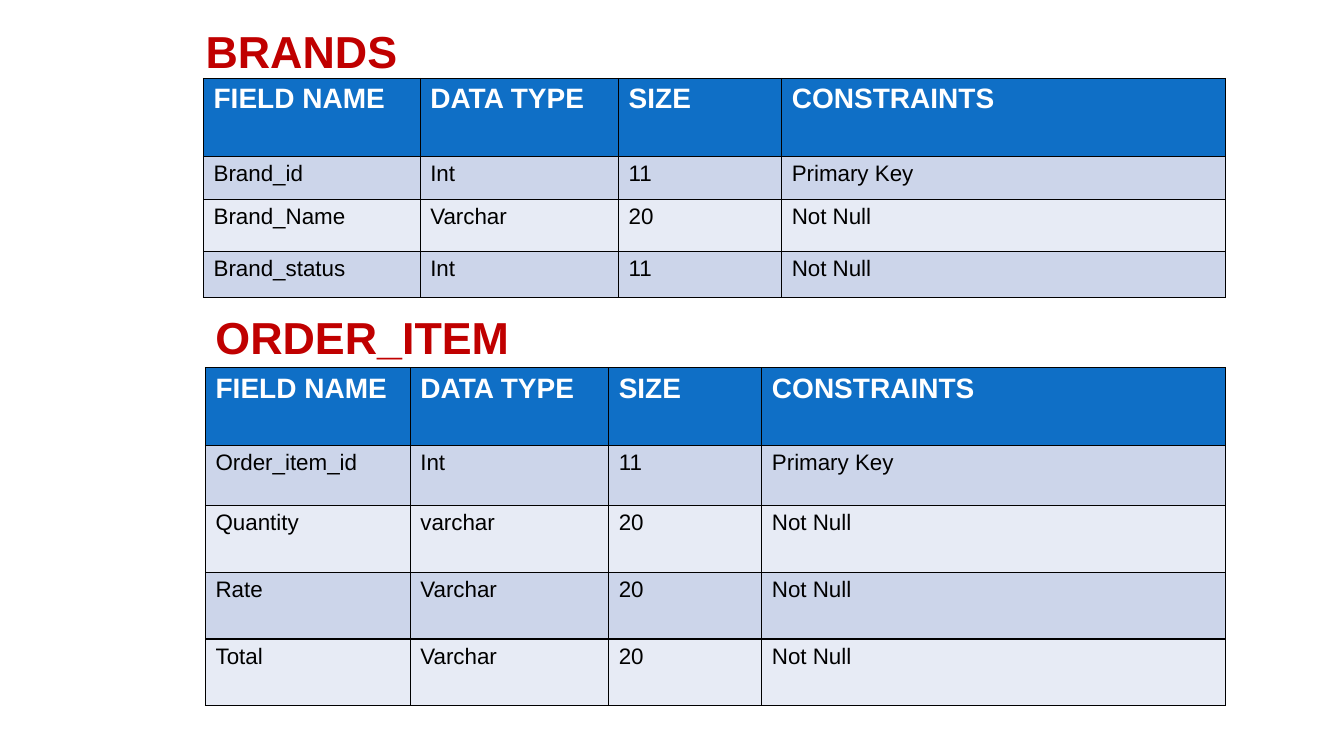
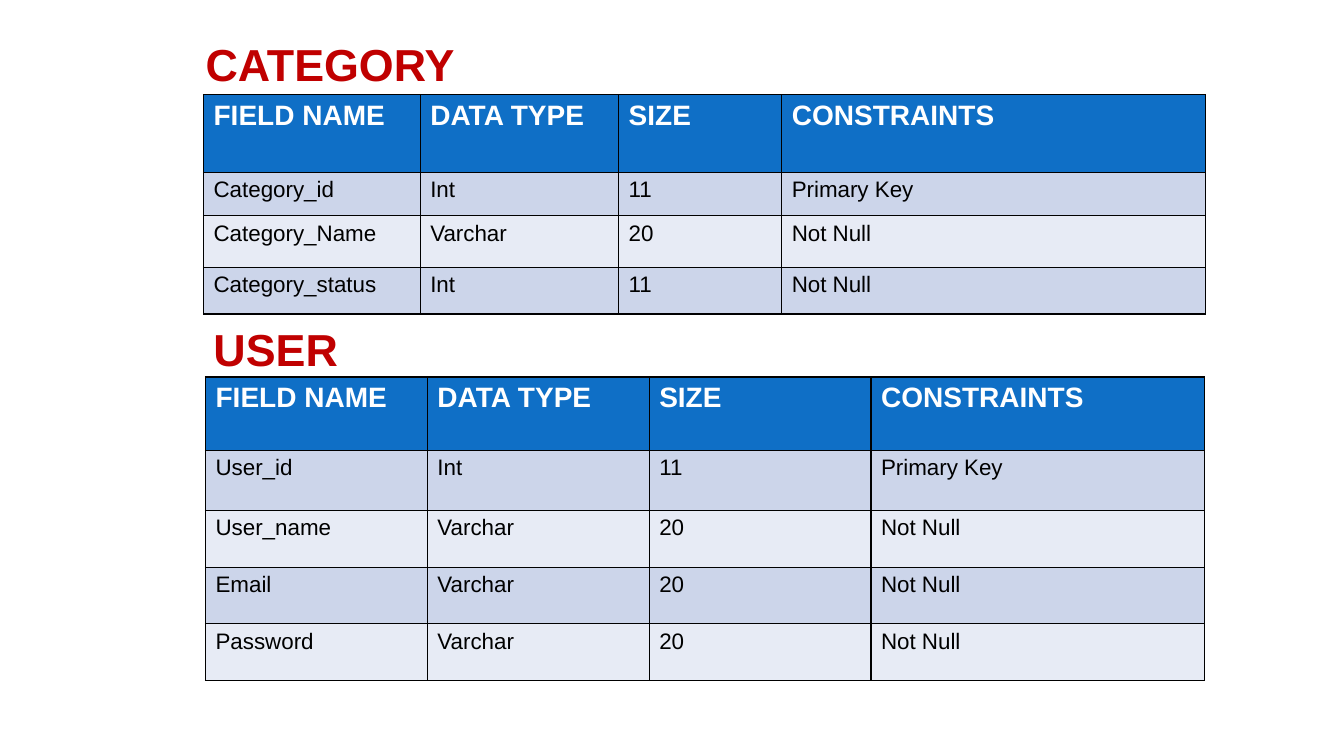
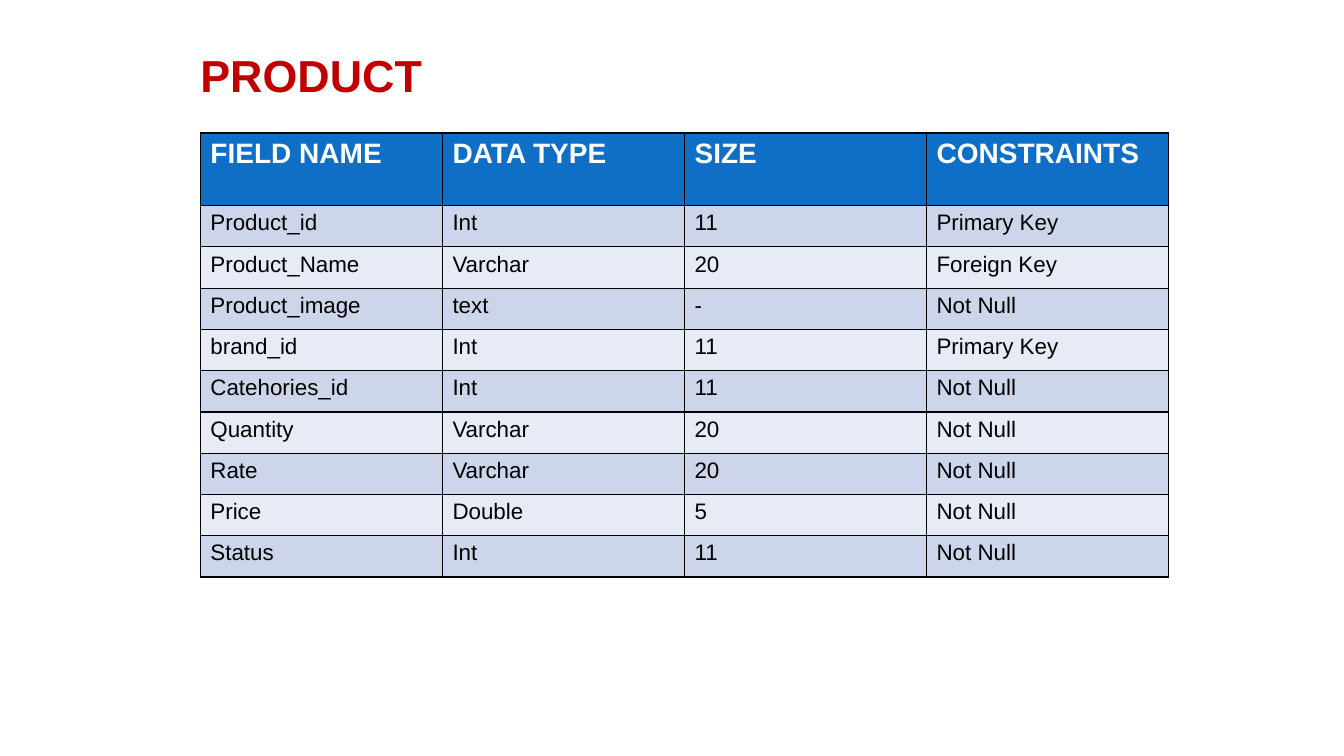
from dataclasses import dataclass

from lxml.etree import SubElement as Sub
from pptx import Presentation as Deck
from pptx.dml.color import RGBColor as Rgb
from pptx.enum.text import MSO_ANCHOR as Anchor, PP_ALIGN as Align
from pptx.oxml.ns import qn
from pptx.slide import Slide
from pptx.table import _Cell as Cell
from pptx.text.text import _Paragraph as Para
from pptx.util import Cm, Pt


@dataclass(frozen=True)
class Theme:
    font: str = "Arial"
    title: str = "C00000"
    head: str = "0F6FC6"
    light: str = "FFFFFF"
    ink: str = "000000"
    bands: tuple[str, str] = ("CCD5EA", "E7EBF5")
    big: float = 32
    mid: float = 20
    body: float = 16
    edge: float = 1


@dataclass(frozen=True)
class Label:
    text: str
    left: float
    top: float
    width: float
    height: float
    main: bool = True


@dataclass(frozen=True)
class Grid:
    left: float
    top: float
    cols: list[float]
    rows: list[float]
    fields: list[tuple[str, str, str, str]]


@dataclass(frozen=True)
class Block:
    label: Label
    grid: Grid


THEME = Theme()
HEADS = ("FIELD NAME", "DATA TYPE", "SIZE", "CONSTRAINTS")
KEY = "Primary Key"
FULL = "Not Null"
SHORT = [1.96, 1.09, 1.3, 1.17]

PAGES = [
    [
        Block(
            Label("BRANDS", 5.18, 0.2, 28.14, 1.75),
            Grid(5.13, 1.98, [5.46, 5, 4.11, 11.18], SHORT, [
                ("Brand_id", "Int", "11", KEY),
                ("Brand_Name", "Varchar", "20", FULL),
                ("Brand_status", "Int", "11", FULL),
            ]),
        ),
        Block(
            Label("ORDER_ITEM", 5.18, 7.67, 12.22, 1.62, False),
            Grid(5.18, 9.27, [5.16, 5, 3.86, 11.68], [1.96, 1.51] + [1.68] * 3, [
                ("Order_item_id", "Int", "11", KEY),
                ("Quantity", "varchar", "20", FULL),
                ("Rate", "Varchar", "20", FULL),
                ("Total", "Varchar", "20", FULL),
            ]),
        ),
    ],
    [
        Block(
            Label("CATEGORY", 5.18, 0.53, 28.14, 1.75),
            Grid(5.13, 2.39, [5.46, 5, 4.11, 10.67], SHORT, [
                ("Category_id", "Int", "11", KEY),
                ("Category_Name", "Varchar", "20", FULL),
                ("Category_status", "Int", "11", FULL),
            ]),
        ),
        Block(
            Label("USER", 5.13, 7.98, 12.22, 1.62, False),
            Grid(5.18, 9.5, [5.59] * 3 + [8.41], [1.85, 1.51] + [1.43] * 3, [
                ("User_id", "Int", "11", KEY),
                ("User_name", "Varchar", "20", FULL),
                ("Email", "Varchar", "20", FULL),
                ("Password", "Varchar", "20", FULL),
            ]),
        ),
    ],
    [
        Block(
            Label("PRODUCT", 5.05, 0.89, 28.04, 1.68),
            Grid(5.05, 3.35, [6.1] * 4, [1.83] + [1.04] * 9, [
                ("Product_id", "Int", "11", KEY),
                ("Product_Name", "Varchar", "20", "Foreign Key"),
                ("Product_image", "text", "-", FULL),
                ("brand_id", "Int", "11", KEY),
                ("Catehories_id", "Int", "11", FULL),
                ("Quantity", "Varchar", "20", FULL),
                ("Rate", "Varchar", "20", FULL),
                ("Price", "Double", "5", FULL),
                ("Status", "Int", "11", FULL),
            ]),
        ),
    ],
]


def write(para: Para, text: str, size: float, color: str, bold: bool) -> None:
    para.text = text
    font = para.font
    font.name, font.size, font.bold = THEME.font, Pt(size), bold
    font.color.rgb = Rgb.from_string(color)


def add_label(slide: Slide, label: Label) -> None:
    place = (label.left, label.top, label.width, label.height)
    frame = slide.shapes.add_textbox(*map(Cm, place)).text_frame
    frame.word_wrap = True
    if label.main:
        frame.vertical_anchor = Anchor.BOTTOM
        frame.margin_left = frame.margin_right = frame.margin_bottom = 0
    write(frame.paragraphs[0], label.text, THEME.big, THEME.title, True)


def add_edges(cell: Cell) -> None:
    props = cell._tc.get_or_add_tcPr()
    for side in ("lnL", "lnR", "lnT", "lnB"):
        line = Sub(props, qn(f"a:{side}"), w=str(Pt(THEME.edge)))
        fill = Sub(line, qn("a:solidFill"))
        Sub(fill, qn("a:srgbClr"), val=THEME.ink)


def add_grid(slide: Slide, grid: Grid) -> None:
    place = (grid.left, grid.top, sum(grid.cols), sum(grid.rows))
    table = slide.shapes.add_table(
        len(grid.rows), len(grid.cols), *map(Cm, place)
    ).table
    for col, width in zip(table.columns, grid.cols):
        col.width = Cm(width)
    for row, height in zip(table.rows, grid.rows):
        row.height = Cm(height)
    for r, texts in enumerate([HEADS, *grid.fields]):
        head = r == 0
        back = THEME.head if head else THEME.bands[(r - 1) % 2]
        size = THEME.mid if head else THEME.body
        color = THEME.light if head else THEME.ink
        for c, text in enumerate(texts):
            cell = table.cell(r, c)
            add_edges(cell)
            cell.fill.solid()
            cell.fill.fore_color.rgb = Rgb.from_string(back)
            para = cell.text_frame.paragraphs[0]
            para.alignment = Align.JUSTIFY
            write(para, text, size, color, head)


def main() -> None:
    deck = Deck()
    deck.slide_width, deck.slide_height = Cm(33.87), Cm(19.05)
    for page in PAGES:
        slide = deck.slides.add_slide(deck.slide_layouts[6])
        for block in page:
            add_label(slide, block.label)
            add_grid(slide, block.grid)
    deck.save("out.pptx")


if __name__ == "__main__":
    main()
